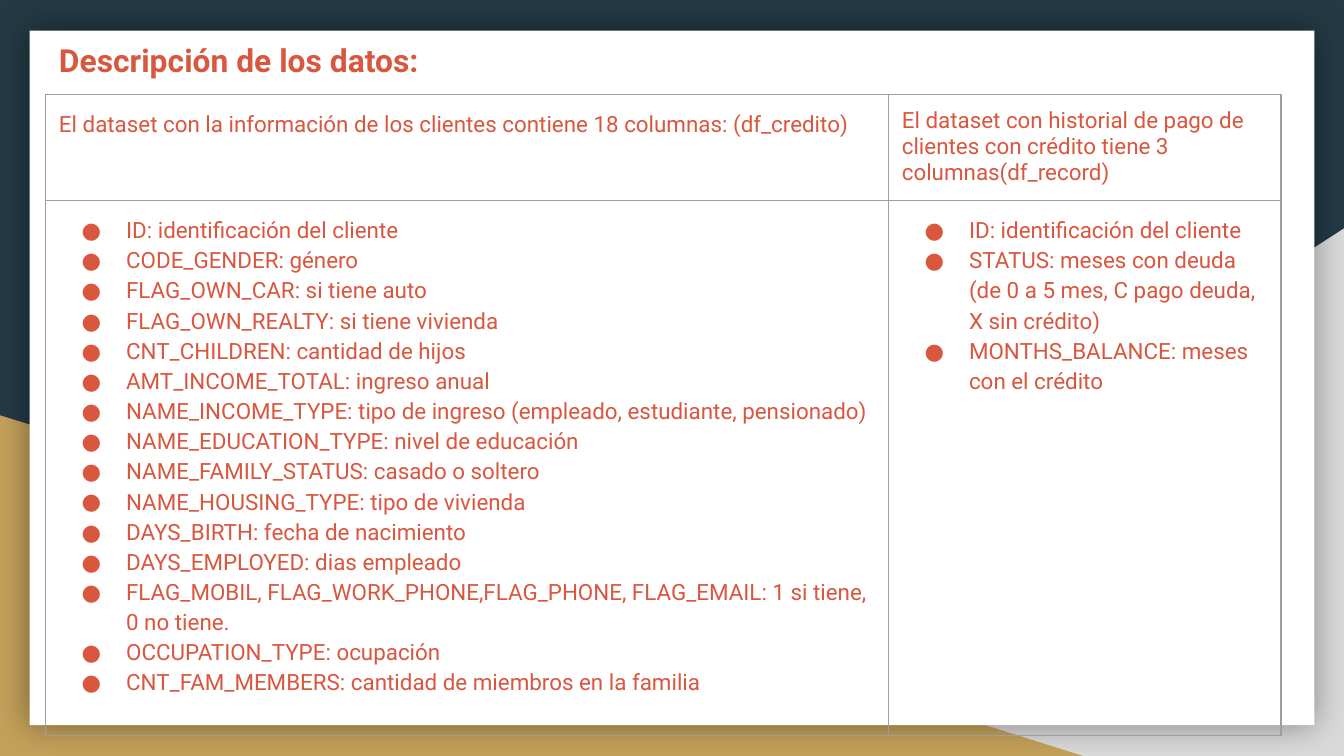
from collections import namedtuple
from dataclasses import dataclass

from lxml.etree import SubElement
from pptx import Presentation
from pptx.dml.color import RGBColor
from pptx.enum.shapes import MSO_SHAPE
from pptx.enum.text import MSO_ANCHOR, MSO_AUTO_SIZE, PP_ALIGN
from pptx.oxml import parse_xml
from pptx.oxml.ns import nsdecls, qn
from pptx.util import Cm, Pt

Box = namedtuple("Box", "left top width height")  # centimetres


@dataclass(frozen=True)
class Theme:
    font: str = "Roboto"
    night: str = "233A44"
    grey: str = "D9D9D9"
    gold: str = "C4A15A"
    paper: str = "FFFFFF"
    text: str = "D9563F"
    border: str = "9E9E9E"
    title_size: float = 17
    body_size: float = 12
    border_width: float = 0.75


THEME = Theme()
PAGE = Box(0, 0, 25.4, 14.29)
PAPER = Box(0.56, 0.58, 24.28, 13.13)
TITLE = Box(0.86, 0.41, 23.67, 13.34)
TABLE = Box(0.86, 1.78, 23.35, 12.12)
FIRST_COLUMN = 15.93
HEADER_HEIGHT = 2.01
MARGIN = 0.254
LINE_SPACING = 1.15

CLIENT_HEADER = ("El dataset con la información de los clientes contiene "
                 "18 columnas: (df_credito)")
RECORD_HEADER = ("El dataset con historial de pago de clientes con crédito "
                 "tiene 3 columnas(df_record)")
CLIENT_FIELDS = [
    "ID: identificación del cliente",
    "CODE_GENDER: género",
    "FLAG_OWN_CAR: si tiene auto",
    "FLAG_OWN_REALTY: si tiene vivienda",
    "CNT_CHILDREN: cantidad de hijos",
    "AMT_INCOME_TOTAL: ingreso anual",
    "NAME_INCOME_TYPE: tipo de ingreso (empleado, estudiante, pensionado)",
    "NAME_EDUCATION_TYPE: nivel de educación",
    "NAME_FAMILY_STATUS: casado o soltero",
    "NAME_HOUSING_TYPE: tipo de vivienda",
    "DAYS_BIRTH: fecha de nacimiento",
    "DAYS_EMPLOYED: dias empleado",
    "FLAG_MOBIL, FLAG_WORK_PHONE,FLAG_PHONE, FLAG_EMAIL: 1 si tiene, 0 no tiene.",
    "OCCUPATION_TYPE: ocupación",
    "CNT_FAM_MEMBERS: cantidad de miembros en la familia",
]
RECORD_FIELDS = [
    "ID: identificación del cliente",
    "STATUS: meses con deuda (de 0 a 5 mes, C pago deuda, X sin crédito)",
    "MONTHS_BALANCE: meses con el crédito",
]


def lengths(box):
    return [Cm(value) for value in box]


def add_bullet(para):
    properties = para._p.get_or_add_pPr()
    properties.set("marL", str(Cm(1.27)))
    properties.set("indent", str(-Cm(0.84)))
    colour = SubElement(properties, qn("a:buClr"))
    SubElement(colour, qn("a:srgbClr"), val=THEME.text)
    SubElement(properties, qn("a:buFont"), typeface=THEME.font)
    SubElement(properties, qn("a:buChar"), char="●")


def write(para, text, size=THEME.body_size, bold=False, spacing=LINE_SPACING,
          after=0, bullet=False):
    para.alignment = PP_ALIGN.LEFT
    para.line_spacing = spacing
    para.space_before = Pt(0)
    para.space_after = Pt(after)
    if bullet:
        add_bullet(para)
    span = para.add_run()
    span.text = text
    span.font.name = THEME.font
    span.font.size = Pt(size)
    span.font.bold = bold
    span.font.color.rgb = RGBColor.from_string(THEME.text)


def add_panel(page, kind, box, colour):
    panel = page.shapes.add_shape(kind, *lengths(box))
    panel.shadow.inherit = False
    panel.fill.solid()
    panel.fill.fore_color.rgb = RGBColor.from_string(colour)
    panel.line.fill.background()
    return panel


def add_backdrop(page, box):
    """Dark page with a triangle in each lower corner and a shadowed sheet."""
    page.background.fill.solid()
    page.background.fill.fore_color.rgb = RGBColor.from_string(THEME.night)
    bottom = box.top + box.height
    right = box.left + box.width
    grey = add_panel(page, MSO_SHAPE.RIGHT_TRIANGLE,
                     Box(right - 15.44, bottom - 9.97, 15.44, 9.97), THEME.grey)
    grey.element.spPr.find(qn("a:xfrm")).set("flipH", "1")
    add_panel(page, MSO_SHAPE.RIGHT_TRIANGLE,
              Box(box.left, bottom - 6.44, 20.47, 6.44), THEME.gold)
    sheet = add_panel(page, MSO_SHAPE.RECTANGLE, PAPER, THEME.paper)
    effects = sheet.element.spPr.find(qn("a:effectLst"))
    shadow = SubElement(effects, qn("a:outerShdw"), blurRad=str(Pt(18)),
                        dist="0", dir="0", algn="ctr", rotWithShape="0")
    black = SubElement(shadow, qn("a:srgbClr"), val="000000")
    SubElement(black, qn("a:alpha"), val="40000")


def place_title(page, box, text):
    title = page.shapes.title
    title.left, title.top, title.width, title.height = lengths(box)
    frame = title.text_frame
    frame.word_wrap = True
    frame.auto_size = MSO_AUTO_SIZE.NONE
    frame.vertical_anchor = MSO_ANCHOR.TOP
    frame.margin_left = frame.margin_right = Cm(MARGIN)
    frame.margin_top = frame.margin_bottom = Cm(MARGIN)
    write(frame.paragraphs[0], text, size=THEME.title_size, bold=True)
    page.shapes._spTree.append(title.element)  # in front of the backdrop


def format_cell(cell):
    cell.margin_left = cell.margin_right = Cm(MARGIN)
    cell.margin_top = cell.margin_bottom = Cm(MARGIN)
    cell.vertical_anchor = MSO_ANCHOR.TOP
    cell.fill.background()
    properties = cell._tc.get_or_add_tcPr()
    for index, side in enumerate(("lnL", "lnR", "lnT", "lnB")):
        properties.insert(index, parse_xml(
            f'<a:{side} {nsdecls("a")} w="{Pt(THEME.border_width)}">'
            f'<a:solidFill><a:srgbClr val="{THEME.border}"/></a:solidFill>'
            f'</a:{side}>'))


def add_field_table(page, box):
    table = page.shapes.add_table(2, 2, *lengths(box)).table
    table.first_row = table.horz_banding = False
    table.columns[0].width = Cm(FIRST_COLUMN)
    table.columns[1].width = Cm(box.width - FIRST_COLUMN)
    table.rows[0].height = Cm(HEADER_HEIGHT)
    table.rows[1].height = Cm(box.height - HEADER_HEIGHT)
    for cell in table.iter_cells():
        format_cell(cell)

    write(table.cell(0, 0).text_frame.paragraphs[0], CLIENT_HEADER, after=12)
    write(table.cell(0, 1).text_frame.paragraphs[0], RECORD_HEADER, spacing=1.0)
    for column, fields in enumerate((CLIENT_FIELDS, RECORD_FIELDS)):
        frame = table.cell(1, column).text_frame
        for index, field in enumerate(fields):
            para = frame.add_paragraph() if index else frame.paragraphs[0]
            write(para, field, bullet=True)


def main():
    deck = Presentation()
    deck.slide_width, deck.slide_height = Cm(PAGE.width), Cm(PAGE.height)
    page = deck.slides.add_slide(deck.slide_layouts.get_by_name("Title Only"))
    add_backdrop(page, PAGE)
    place_title(page, TITLE, "Descripción de los datos:")
    add_field_table(page, TABLE)
    deck.save("out.pptx")


if __name__ == "__main__":
    main()
